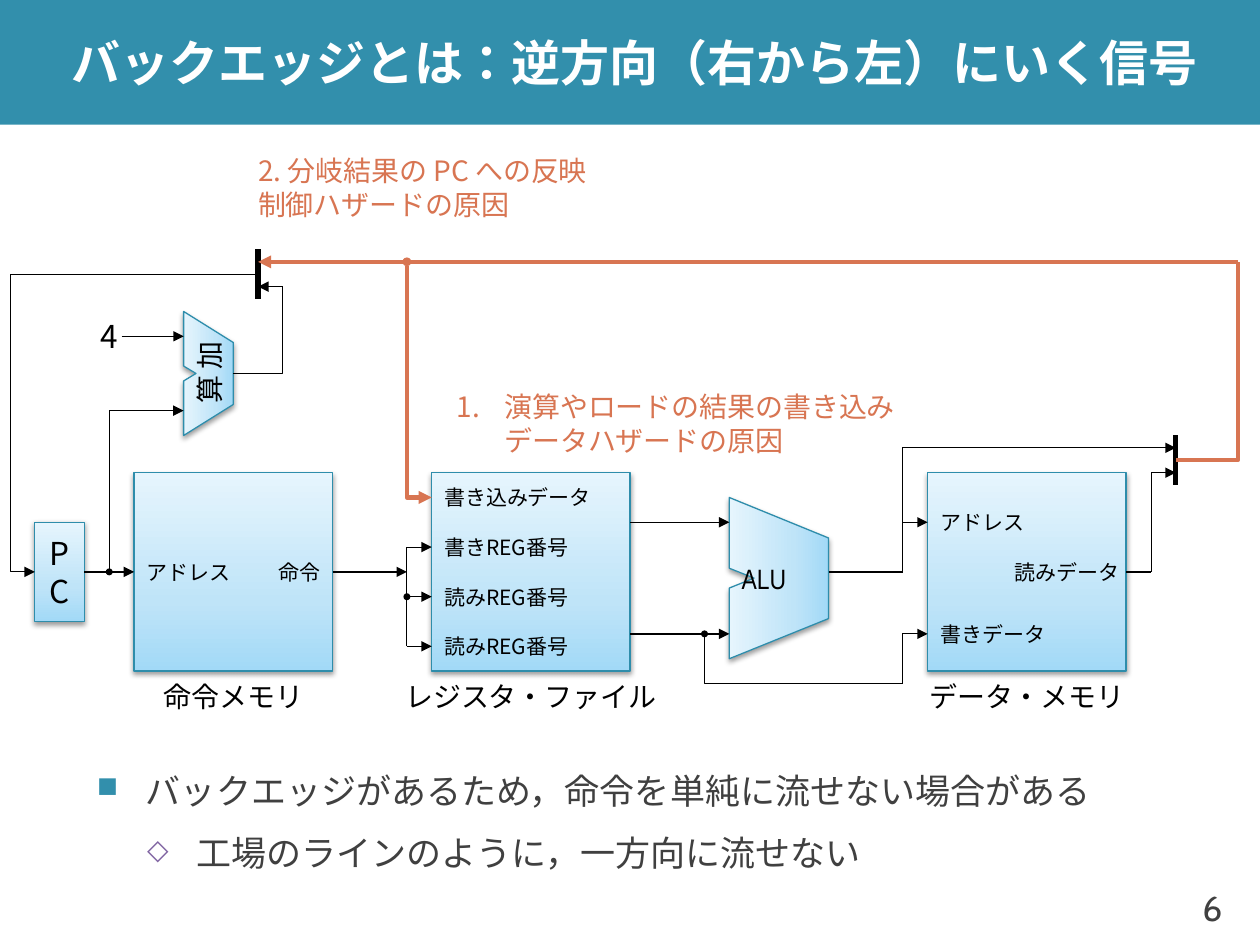
from copy import deepcopy

from lxml import etree
from pptx import Presentation
from pptx.dml.color import RGBColor
from pptx.enum import shapes, text
from pptx.oxml.ns import qn
from pptx.util import Inches, Pt

TEAL = RGBColor(0x32, 0x8F, 0xAC)
EDGE = RGBColor(0x2E, 0x8D, 0xAB)
ORANGE = RGBColor(0xD8, 0x75, 0x52)
PURPLE = RGBColor(0x80, 0x64, 0xA2)
GRAY = RGBColor(0x40, 0x40, 0x40)
BLACK = RGBColor(0, 0, 0)
WHITE = RGBColor(255, 255, 255)
GRADIENT = [(0, RGBColor(0xA2, 0xD9, 0xF7)), (0.35, RGBColor(0xBF, 0xE4, 0xF8)),
            (1, RGBColor(0xE6, 0xF5, 0xFD))]
CJK = "Noto Sans CJK JP"
LEFT, CENTER, RIGHT = text.PP_ALIGN.LEFT, text.PP_ALIGN.CENTER, text.PP_ALIGN.RIGHT

# The circuit lies on a half-centimetre grid; its coordinates are in grid steps
GRID = 0.5 / 2.54
ORIGIN = (0.08, 1.98)

TITLE = "バックエッジとは：逆方向（右から左）にいく信号"
BULLETS = [  # text, mark, mark colour, mark size %, left indent, space before, after
    ("バックエッジがあるため，命令を単純に流せない場合がある", "■", TEAL, 82, 0.39, 0, 6),
    ("工場のラインのように，一方向に流せない", "◇", PURPLE, 80, 0.79, 3, 3),
]
BLOCKS = {  # name: left, top, width, height
    "instruction memory": (5, 9, 8, 8),
    "register file": (17, 9, 8, 8),
    "data memory": (37, 9, 8, 8),
    "pc": (1, 11, 2, 4),
}
UNITS = [  # text, font, outline of an arithmetic unit
    ("ALU", "Arial Narrow", [(29, 10), (33, 11.63), (33, 14.88), (29, 16.5),
                             (29, 13.65), (30, 13.25), (29, 12.85)]),
    ("加算", CJK, [(7, 2.5), (9, 3.75), (9, 6.25), (7, 7.5),
                 (7, 5.3), (7.5, 5), (7, 4.7)]),
]
PORTS = [  # text, left, top, width, alignment
    ("アドレス", 5, 12, 5, LEFT), ("命令", 10, 12, 3, RIGHT),
    ("書き込みデータ", 17, 9, 8, LEFT), ("書きREG番号", 17, 11, 8, LEFT),
    ("読みREG番号", 17, 13, 8, LEFT), ("読みREG番号", 17, 15, 8, LEFT),
    ("アドレス", 37, 10, 8, LEFT), ("書きデータ", 37, 14.5, 8, LEFT),
    ("読みデータ", 40, 12, 6, LEFT),
]
CAPTIONS = [("命令メモリ", 5), ("レジスタ・ファイル", 17), ("データ・メモリ", 37)]
THIN = [  # points, ends: o = dot at the start, > = arrow at the end
    ([(4, 13), (4, 6.5), (7, 6.5)], "o>"),
    ([(0, 1), (0, 13), (1, 13)], ">"),
    ([(9, 5), (11, 5), (11, 1.5)], ""),
    ([(16, 16), (16, 12), (17, 12)], ">"),
    ([(46, 13), (46, 9), (47, 9)], ">"),
    ([(28, 15.5), (28, 17.5), (36, 17.5)], "o"),
    ([(36, 17.5), (36, 15.5), (37, 15.5)], ">"),
    ([(36, 13), (36, 11), (37, 11)], ">"),
    ([(36, 11), (36, 8), (47, 8)], ">"),
    ([(4.5, 3.5), (7, 3.5)], ">"),
    ([(0, 1), (10, 1)], ""),
    ([(16, 14), (17, 14)], "o>"),
    ([(16, 16), (17, 16)], ">"),
    ([(33, 13), (36, 13)], ""),
    ([(25, 11), (29, 11)], ">"),
    ([(25, 15.5), (29, 15.5)], ">"),
    ([(11, 1.5), (10, 1.5)], ">"),
]
JOINED = [  # points, ends, block at the start, block at the end
    ([(3, 13), (5, 13)], ">", "pc", "instruction memory"),
    ([(13, 13), (16, 13)], ">", "instruction memory", None),
    ([(45, 13), (46, 13)], "", "data memory", None),
]
BACK_EDGES = [
    ([(16, 0.5), (16, 10), (17, 10)], "o>"),
    ([(47, 8.5), (49.5, 8.5), (49.5, 0.5)], ""),
    ([(49.5, 0.5), (10, 0.5)], ">"),
]
SELECTORS = [[(47, 7.5), (47, 9.5)], [(10, 0), (10, 2)]]

presentation = Presentation()
presentation.slide_width, presentation.slide_height = Inches(10), Inches(7.5)
slide = presentation.slides.add_slide(presentation.slide_layouts[6])


def at_grid(x, y):
    return Inches(ORIGIN[0] + x * GRID), Inches(ORIGIN[1] + y * GRID)


def grid_box(x, y, width, height):
    return *at_grid(x, y), Inches(width * GRID), Inches(height * GRID)


def write(shape, lines, size=16, color=BLACK, font=CJK, bold=False,
          align=LEFT, insets=(0.1, 0.05)):
    frame = shape.text_frame
    frame.text = lines
    frame.word_wrap = True
    frame.vertical_anchor = text.MSO_ANCHOR.MIDDLE
    frame.margin_left = frame.margin_right = Inches(insets[0])
    frame.margin_top = frame.margin_bottom = Inches(insets[1])
    for paragraph in frame.paragraphs:
        paragraph.alignment = align
        for run in paragraph.runs:
            run.font.size, run.font.bold, run.font.name = Pt(size), bold, font
            run.font.color.rgb = color
            run.font._element.set("lang", "ja-JP")
            etree.SubElement(run.font._element, qn("a:ea"), typeface=CJK)
    return frame


def text_box(box, lines, **style):
    return write(slide.shapes.add_textbox(*box), lines, **style)


def add_bullet(paragraph, left, hanging, tag, **attributes):
    properties = paragraph._p.get_or_add_pPr()
    properties.set("marL", str(Inches(left)))
    properties.set("indent", str(-Inches(hanging)))
    etree.SubElement(properties, qn(tag), **attributes)
    return properties


def style_block(shape):
    fill = shape.fill
    fill.gradient()
    fill.gradient_angle = 90
    stops = shape._element.spPr.find(qn("a:gradFill")).find(qn("a:gsLst"))
    stops.insert(1, deepcopy(stops[0]))
    for stop, (position, color) in zip(fill.gradient_stops, GRADIENT):
        stop.position, stop.color.rgb = position, color
    shape.line.color.rgb, shape.line.width = EDGE, Pt(0.75)
    shape.shadow.inherit = False
    shadow = etree.SubElement(
        shape._element.spPr.find(qn("a:effectLst")), qn("a:outerShdw"),
        blurRad=str(Pt(3.1)), dist=str(Pt(1.6)), dir="5400000", rotWithShape="0")
    black = etree.SubElement(shadow, qn("a:srgbClr"), val="000000")
    etree.SubElement(black, qn("a:alpha"), val="38000")


def outline(points, close):
    builder = slide.shapes.build_freeform(*points[0], scale=1.0)
    builder.add_line_segments(points[1:], close=close)
    return builder.convert_to_shape()


def wire(points, ends="", color=BLACK, width=None):
    points = [at_grid(*point) for point in points]
    if len(points) == 2:
        shape = slide.shapes.add_connector(shapes.MSO_CONNECTOR.STRAIGHT, *points[0], *points[1])
        etree.SubElement(shape._element.spPr, qn("a:effectLst"))
    else:
        shape = outline(points, close=False)
        shape.fill.background()
        shape.shadow.inherit = False
    shape.line.color.rgb = color
    shape.line.width = Pt(width or (0.75 if len(points) == 2 else 0.5))
    line = shape.line._get_or_add_ln()
    if "o" in ends:
        etree.SubElement(line, qn("a:headEnd"), type="oval", w="sm", len="sm")
    if ">" in ends:
        etree.SubElement(line, qn("a:tailEnd"), type="triangle")
    return shape


# Title band, page number and bullets
band = slide.shapes.add_shape(shapes.MSO_SHAPE.RECTANGLE, 0, 0, Inches(10), Inches(0.99))
band.fill.solid()
band.fill.fore_color.rgb = TEAL
band.line.fill.background()
band.shadow.inherit = False
text_box([Inches(n) for n in (0.47, 0, 9.53, 0.99)], TITLE, size=28, color=WHITE,
         font="Cabin", bold=True, insets=(0.1, 0))
text_box([Inches(n) for n in (9.13, 6.9, 0.67, 0.6)], "6", size=20, color=GRAY,
         font="Cabin", align=RIGHT)
body = text_box([Inches(n) for n in (0.67, 6.11, 9.06, 0.79)],
                "\n".join(bullet[0] for bullet in BULLETS), size=20, color=GRAY, font="Cabin")
for level, (paragraph, bullet) in enumerate(zip(body.paragraphs, BULLETS)):
    _, mark, color, percent, left, before, after = bullet
    paragraph.level = level
    properties = add_bullet(paragraph, left, 0.39, "a:buChar", char=mark)
    tint = etree.Element(qn("a:buClr"))
    etree.SubElement(tint, qn("a:srgbClr"), val=str(color))
    properties.insert(0, tint)
    properties.insert(1, etree.Element(qn("a:buSzPct"), val=str(percent * 1000)))
    paragraph.line_spacing = 1.1
    paragraph.space_before, paragraph.space_after = Pt(before), Pt(after)

# Memories, register file and program counter
blocks = {}
for name, box in BLOCKS.items():
    blocks[name] = slide.shapes.add_shape(shapes.MSO_SHAPE.RECTANGLE, *grid_box(*box))
    style_block(blocks[name])
write(blocks["pc"], "PC", size=18, align=CENTER)

# Arithmetic units: drawn lying down, then turned upright about their centres
for label, font, points in UNITS:
    xs, ys = zip(*points)
    middle_x, middle_y = (min(xs) + max(xs)) / 2, (min(ys) + max(ys)) / 2
    unit = outline([at_grid(middle_x - (y - middle_y), middle_y + (x - middle_x))
                    for x, y in points], close=True)
    unit.rotation = 270
    style_block(unit)
    frame = write(unit, label, font=font, align=CENTER)
    frame._txBody.bodyPr.set("vert", "eaVert")

# Wires, back edges and selectors
for points, ends in THIN:
    wire(points, ends)
for points, ends, start, end in JOINED:
    connector = wire(points, ends)
    connector.begin_connect(blocks[start], 3)
    if end:
        connector.end_connect(blocks[end], 1)
for points in SELECTORS:
    wire(points, width=3)
for points, ends in BACK_EDGES:
    wire(points, ends, color=ORANGE, width=2.5)

# Port names, captions and notes on the back edges
for label, x, y, width, align in PORTS:
    text_box(grid_box(x, y, width, 2), label, size=12, align=align, insets=(0.1, 0))
for label, x in CAPTIONS:
    text_box(grid_box(x - 2, 17, 12, 2), label, align=CENTER, insets=(0, 0))
text_box(grid_box(3, 2.5, 2, 2), "4", size=18, align=CENTER)
note = dict(color=ORANGE, insets=(0, 0))
text_box(grid_box(10, -3.5, 20, 2), "2. 分岐結果の PC への反映\n制御ハザードの原因", **note)
write_back = text_box(grid_box(18, 6, 20, 2),
                      "演算やロードの結果の書き込み\vデータハザードの原因", **note)
add_bullet(write_back.paragraphs[0], 0.38, 0.38, "a:buAutoNum", type="arabicPeriod")

presentation.save("out.pptx")
